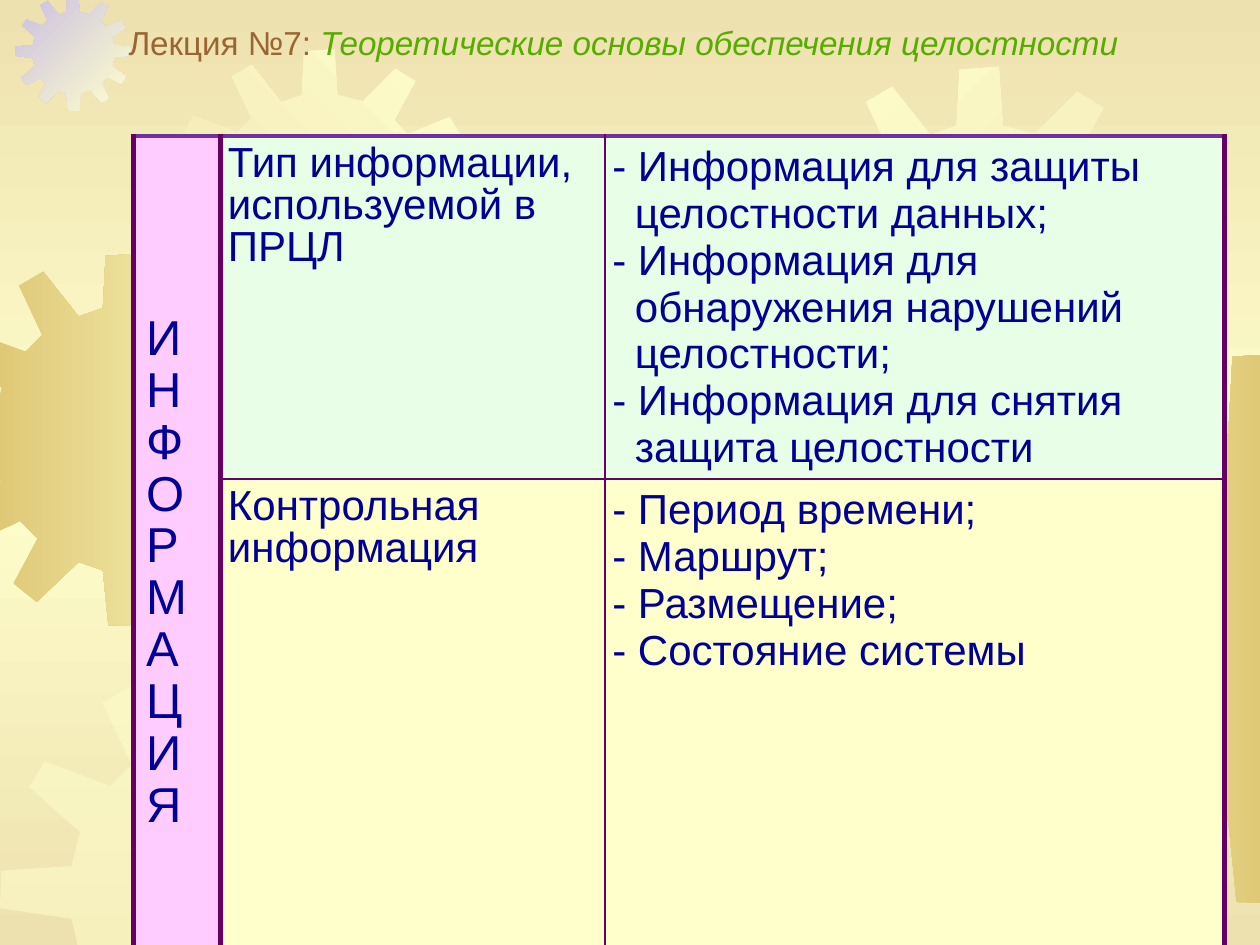
from copy import deepcopy
from lxml.etree import SubElement
from pptx import Presentation
from pptx.dml.color import RGBColor
from pptx.enum.text import MSO_ANCHOR, MSO_AUTO_SIZE
from pptx.oxml.ns import qn
from pptx.util import Inches, Pt

HUES = {
    "sand": "EDE1AF", "cream": "FFFFCC", "gold": "DFC977", "lilac": "CAC0E2",
    "pink": "FFCCFF", "mint": "E9FEE6", "navy": "000099", "plum": "660066",
    "violet": "7030A0", "brown": "996633", "green": "56AC00",
}
# Outline of one gear, in hundredths of an inch
SPAN = 401
GEAR = [
    (255, 67), (223, 59), (219, 0), (180, 3), (177, 59), (151, 68), (113, 20), (87, 35),
    (112, 88), (94, 106), (38, 85), (25, 107), (68, 145), (61, 174), (1, 178), (0, 210),
    (61, 219), (67, 246), (22, 287), (38, 312), (88, 288), (107, 307), (81, 355), (106, 375),
    (151, 332), (177, 341), (183, 400), (222, 401), (226, 339), (259, 330), (299, 374),
    (325, 358), (299, 306), (316, 284), (368, 309), (384, 281), (336, 246), (342, 216),
    (401, 210), (400, 180), (341, 171), (335, 148), (383, 114), (367, 87), (313, 109),
    (296, 91), (323, 41), (297, 25),
]
COLS, ROWS = 100, 75


def hue(name):
    return RGBColor.from_string(HUES[name])


def clip(pts, axis, edge, sign):
    """Keep the part of an outline on one side of a straight edge."""
    out = []
    for a, b in zip(pts, pts[1:] + pts[:1]):
        da, db = sign * (a[axis] - edge), sign * (b[axis] - edge)
        if da >= 0:
            out.append(a)
        if da * db < 0:
            t = da / (da - db)
            out.append(tuple(p + t * (q - p) for p, q in zip(a, b)))
    return out


def write(frame, paras, size=24, color="navy", gap=None, hang=0):
    """Fill a frame; each paragraph is a string or a list of (text, color, italic)."""
    frame.word_wrap = True
    for i, item in enumerate(paras):
        para = frame.add_paragraph() if i else frame.paragraphs[0]
        if gap:
            para.line_spacing = gap
        if hang:
            props = para._p.get_or_add_pPr()
            props.set("marL", str(Inches(hang)))
            props.set("indent", str(-Inches(hang)))
        runs = [(item, color, False)] if isinstance(item, str) else item
        for text, tint, slant in runs:
            run = para.add_run()
            run.text = text
            font = run.font
            font.name, font.size, font.italic = "Arial", Pt(size), slant
            font.color.rgb = hue(tint)


class Deck:
    def __init__(self):
        self.prs = Presentation()
        self.prs.slide_width, self.prs.slide_height = Inches(10), Inches(7.5)
        self.unit = self.prs.slide_width / COLS
        self.slide = self.prs.slides.add_slide(self.prs.slide_layouts[6])

    def pos(self, *vals):
        return [round(v * self.unit) for v in vals]

    def blend(self, fill, names, angle):
        fill.gradient()
        fill.gradient_angle = -angle % 360
        for stop, name in zip(fill.gradient_stops, names):
            stop.color.rgb = hue(name)

    def ground(self, edge, mid):
        self.blend(self.slide.background.fill, (edge, mid), 90)
        stops = self.slide.element.xpath(".//p:bg//a:gsLst")[0]
        stops.append(deepcopy(stops[0]))
        for stop, place in zip(stops, (0, 50000, 100000)):
            stop.set("pos", str(place))

    def gear(self, col, row, size, names, angle=0):
        pts = [(col + x * size / SPAN, row + y * size / SPAN) for x, y in GEAR]
        for axis, edge, sign in ((0, 0, 1), (0, COLS, -1), (1, 0, 1), (1, ROWS, -1)):
            pts = clip(pts, axis, edge, sign)
        pts = [self.pos(*p) for p in pts]
        pen = self.slide.shapes.build_freeform(*pts[0])
        pen.add_line_segments(pts[1:], close=True)
        shape = pen.convert_to_shape()
        shape.shadow.inherit = False
        shape.line.fill.background()
        if len(names) > 1:
            self.blend(shape.fill, names, angle)
        else:  # a single color is half transparent
            shape.fill.solid()
            shape.fill.fore_color.rgb = hue(names[0])
            tint = shape.element.xpath("./p:spPr/a:solidFill/a:srgbClr")[0]
            SubElement(tint, qn("a:alpha"), val="50000")

    def title(self, col, row, wide, high, runs):
        box = self.slide.shapes.add_textbox(*self.pos(col, row, wide, high))
        frame = box.text_frame
        frame.margin_left = frame.margin_right = frame.margin_top = frame.margin_bottom = 0
        frame.vertical_anchor = MSO_ANCHOR.MIDDLE
        frame.auto_size = MSO_AUTO_SIZE.SHAPE_TO_FIT_TEXT
        write(frame, [runs], size=19, gap=Pt(20))

    def table(self, col, row, wides, highs):
        area = self.pos(col, row, sum(wides), sum(highs))
        grid = self.slide.shapes.add_table(len(highs), len(wides), *area).table
        for part, wide in zip(grid.columns, wides):
            part.width = self.pos(wide)[0]
        for part, high in zip(grid.rows, highs):
            part.height = self.pos(high)[0]
        return grid

    def cell(self, cell, color, edges, pad=(0.06, 0.06)):
        """Set fill, margins and borders; edges maps a side to (color, points)."""
        props = cell._tc.get_or_add_tcPr()
        for side in "LRTB":
            name, width = edges[side]
            line = SubElement(props, qn("a:ln" + side), w=str(Pt(width)))
            fill = SubElement(line, qn("a:solidFill"))
            SubElement(fill, qn("a:srgbClr"), val=HUES[name])
        cell.fill.solid()
        cell.fill.fore_color.rgb = hue(color)
        cell.margin_left = cell.margin_right = Inches(pad[0])
        cell.margin_top = cell.margin_bottom = Inches(pad[1])


def main():
    deck = Deck()

    # Background with gears
    deck.ground("sand", "cream")
    for gear in (
        (-4.9, 20.1, 29.6, ("gold", "cream")),
        (1.2, -0.4, 9.2, ("lilac", "cream"), 45),
        (13, 3.9, 24.8, ("sand", "cream"), 315),
        (27.7, 13.9, 40.1, ("cream", "sand"), 45),
        (0, 52.5, 37.4, ("cream",)),
        (49.1, 48.4, 24.8, ("sand", "cream"), 45),
        (61.8, 5.3, 32, ("cream", "sand"), 45),
        (78.2, 28, 43.7, ("cream", "gold")),
    ):
        deck.gear(*gear)

    # Table
    grid = deck.table(10.6, 10.8, (6.9, 30.5, 49.2), (23, 25.6))
    thick, thin, top = ("plum", 3), ("plum", 1.5), ("violet", 3)
    for r in range(2):
        ends = {"T": thin if r else top, "B": thick if r else thin}
        deck.cell(grid.cell(r, 0), "pink",
                  {"L": thick, "R": thick, "T": top, "B": thick}, (0.1, 0.05))
        for c in (1, 2):
            sides = {"L": thick if c == 1 else thin, "R": thin if c == 1 else thick}
            deck.cell(grid.cell(r, c), "cream" if r else "mint", {**ends, **sides})
    side = grid.cell(0, 0)
    side.merge(grid.cell(1, 0))
    side.vertical_anchor = MSO_ANCHOR.MIDDLE
    write(side.text_frame, list("ИНФОРМАЦИЯ"), size=28, gap=0.95)

    # Table rows
    for r, (head, items) in enumerate((
        ("Тип информации, используемой в ПРЦЛ",
         ["- Информация для защиты целостности данных;",
          "- Информация для обнаружения нарушений целостности;",
          "- Информация для снятия защита целостности"]),
        ("Контрольная информация",
         ["- Период времени;", "- Маршрут;", "- Размещение;", "- Состояние системы"]),
    )):
        write(grid.cell(r, 1).text_frame, [head], gap=0.9)
        write(grid.cell(r, 2).text_frame, items, hang=0.18)

    # Title
    deck.title(10.2, 2.1, 89.8, 2.9, [
        ("Лекция №7: ", "brown", False),
        ("Теоретические основы обеспечения целостности", "green", True),
    ])
    deck.prs.save("out.pptx")


if __name__ == "__main__":
    main()
